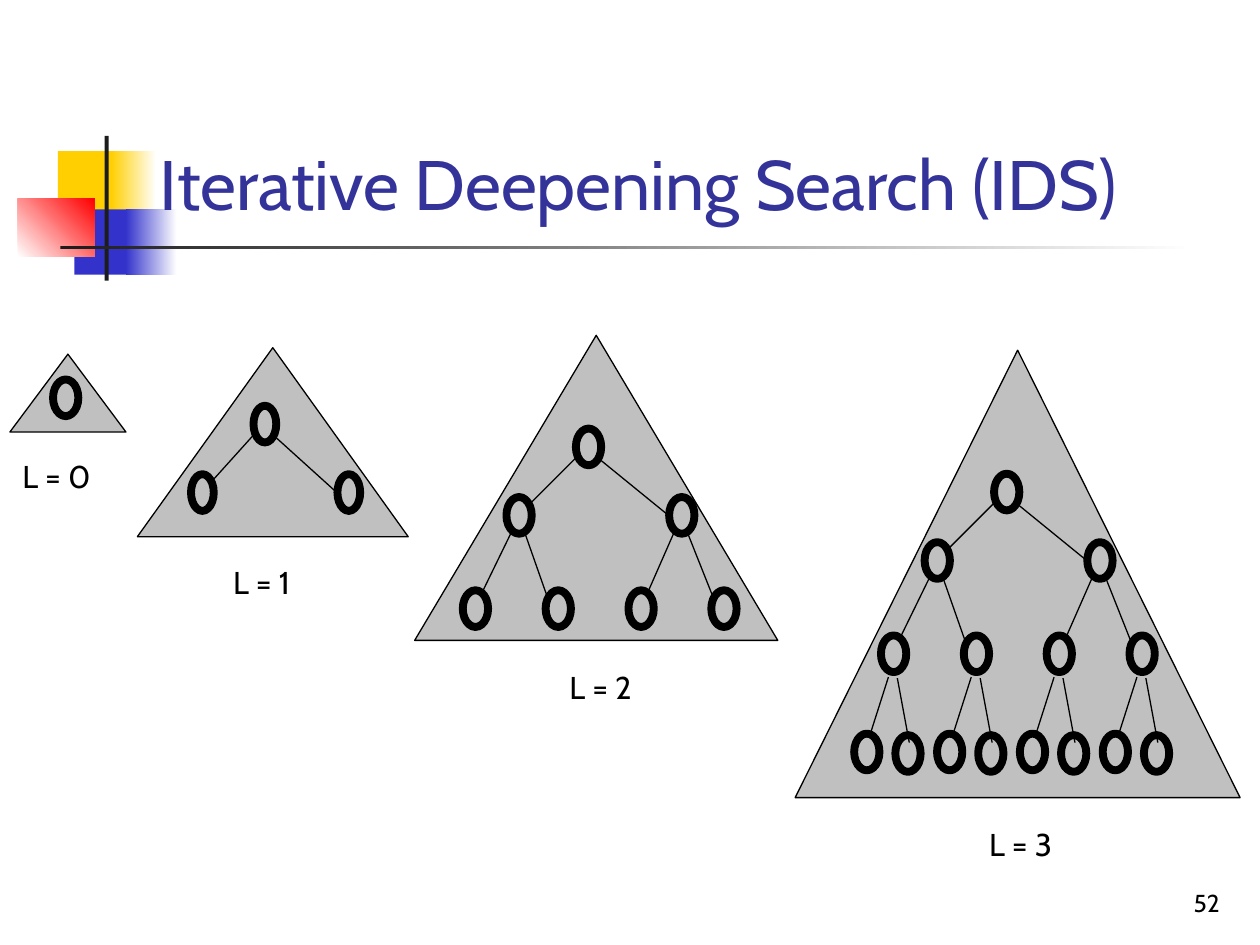
from lxml import etree
from pptx import Presentation
from pptx import util as u
from pptx.dml.color import RGBColor
from pptx.enum import shapes, text
from pptx.oxml.ns import qn

COLORS = {
    "yellow": "FFCF01", "blue": "3333CC", "red": "FF0000", "white": "FFFFFF",
    "bar": "1C1C1C", "title": "333399", "grey": "C0C0C0", "black": "000000",
}
FONT = "Cabin"


def color(name):
    return RGBColor.from_string(COLORS[name])


def write(box, words, size, ink, align, anchor):
    frame = box.text_frame
    frame.word_wrap = True
    frame.vertical_anchor = anchor
    frame.text = words
    frame.paragraphs[0].alignment = align
    font = frame.paragraphs[0].runs[0].font
    font.size, font.name = u.Pt(size), FONT
    font.color.rgb = color(ink)


prs = Presentation()
prs.slide_width, prs.slide_height = u.Cm(25.4), u.Cm(19.05)
slide = prs.slides.add_slide(prs.slide_layouts[5])

# Corner ornament: one colour is solid, two colours are a gradient at an angle
ornament = [
    ((1.17, 3.05, 1.22, 1.32), ["yellow"], 0),
    ((2.24, 3.05, 0.91, 1.32), ["yellow", "white"], 0),
    ((1.5, 4.22, 1.17, 1.32), ["blue"], 0),
    ((2.54, 4.22, 1.02, 1.32), ["blue", "white"], 0),
    ((0.36, 4.01, 1.55, 1.17), ["white", "red"], 45),
    ((2.11, 2.74, 0.08, 2.92), ["bar"], 0),
    ((1.22, 4.95, 22.86, 0.08), ["bar", "white"], 0),
]
for place, shades, angle in ornament:
    block = slide.shapes.add_shape(shapes.MSO_SHAPE.RECTANGLE, *map(u.Cm, place))
    block.shadow.inherit = False
    block.line.fill.background()
    if len(shades) == 1:
        block.fill.solid()
        block.fill.fore_color.rgb = color(shades[0])
    else:
        block.fill.gradient()
        block.fill.gradient_angle = angle
        for stop, shade in zip(block.fill.gradient_stops, shades):
            stop.color.rgb = color(shade)

title = slide.shapes.title
title.left, title.top, title.width, title.height = map(u.Cm, (2.97, 1.27, 21.79, 3.39))
write(title, "Iterative Deepening Search (IDS)", 40, "title",
      text.PP_ALIGN.LEFT, text.MSO_ANCHOR.BOTTOM)
slide.shapes._spTree.append(title._element)  # in front of the ornament

# Node offsets from the root, level by level; children follow their parents in order
grandchildren = [(-2.28 + 1.67 * i, 3.26) for i in range(4)]
levels = [
    [(0, 0)],
    [(-1.4, 1.38), (1.88, 1.38)],
    grandchildren,
    [(x + dx, y + dy) for x, y in grandchildren for dx, dy in ((-0.54, 1.98), (0.29, 2.01))],
]
# Edge ends for the left and right child: offset in the parent, offset in the child
edge_ends = [
    [((0.03, 0.56), (0.46, 0.15)), ((0.43, 0.58), (0, 0.38))],
    [((0.11, 0.69), (0.38, 0.06)), ((0.37, 0.72), (0.04, 0.15))],
    [((0.15, 0.84), (0.3, 0.08)), ((0.33, 0.86), (0.28, 0.15))],
]
NODE_WIDTH, NODE_HEIGHT = 0.51, 0.74

# Per depth limit: triangle, root corner, horizontal scale, label corner
trees = [
    ((0.2, 7.14, 2.34, 1.57), (1.07, 7.65), 1, (0.2, 9.09)),
    ((2.77, 7.01, 5.46, 3.81), (5.11, 8.18), 0.9, (4.45, 11.23)),
    ((8.36, 6.76, 7.32, 6.15), (11.61, 8.64), 1, (11.23, 13.34)),
    ((16.03, 7.06, 8.97, 9.02), (20.04, 9.55), 1, (19.69, 16.51)),
]
for limit, (triangle_place, (root_x, root_y), scale, label_corner) in enumerate(trees):
    tree = slide.shapes.add_group_shape().shapes
    triangle = tree.add_shape(shapes.MSO_SHAPE.ISOSCELES_TRIANGLE, *map(u.Cm, triangle_place))
    triangle.shadow.inherit = False
    triangle.fill.solid()
    triangle.fill.fore_color.rgb = color("grey")
    triangle.line.color.rgb = color("black")
    triangle.line.width = u.Pt(0.75)

    placed = [[(root_x + x * scale, root_y + y) for x, y in level]
              for level in levels[:limit + 1]]
    for x, y in sum(placed, []):
        node = tree.add_shape(shapes.MSO_SHAPE.OVAL, u.Cm(x), u.Cm(y),
                              u.Cm(NODE_WIDTH * scale), u.Cm(NODE_HEIGHT))
        node.shadow.inherit = False
        node.fill.solid()
        node.fill.fore_color.rgb = color("grey")
        shade = node._element.spPr.find(qn("a:solidFill"))[0]
        etree.SubElement(shade, qn("a:alpha"), val="50000")
        node.line.color.rgb = color("black")
        node.line.width = u.Pt(4.5)

    for parents, children, ends in zip(placed, placed[1:], edge_ends):
        for i, (child_x, child_y) in enumerate(children):
            parent_x, parent_y = parents[i // 2]
            (from_x, from_y), (to_x, to_y) = ends[i % 2]
            edge = tree.add_connector(
                shapes.MSO_CONNECTOR.STRAIGHT,
                u.Cm(parent_x + from_x * scale), u.Cm(parent_y + from_y),
                u.Cm(child_x + to_x * scale), u.Cm(child_y + to_y))
            edge.line.color.rgb = color("black")
            edge.line.width = u.Pt(0.75)
            etree.SubElement(edge._element.spPr, qn("a:effectLst"))

    label = slide.shapes.add_textbox(*map(u.Cm, (*label_corner, 2.11, 1.02)))
    write(label, f"L = {limit}", 18, "black", text.PP_ALIGN.LEFT, text.MSO_ANCHOR.TOP)

page_number = slide.shapes.add_textbox(*map(u.Cm, (19.56, 17.35, 5.28, 1.27)))
write(page_number, "52", 14, "black", text.PP_ALIGN.RIGHT, text.MSO_ANCHOR.BOTTOM)

prs.save("out.pptx")
